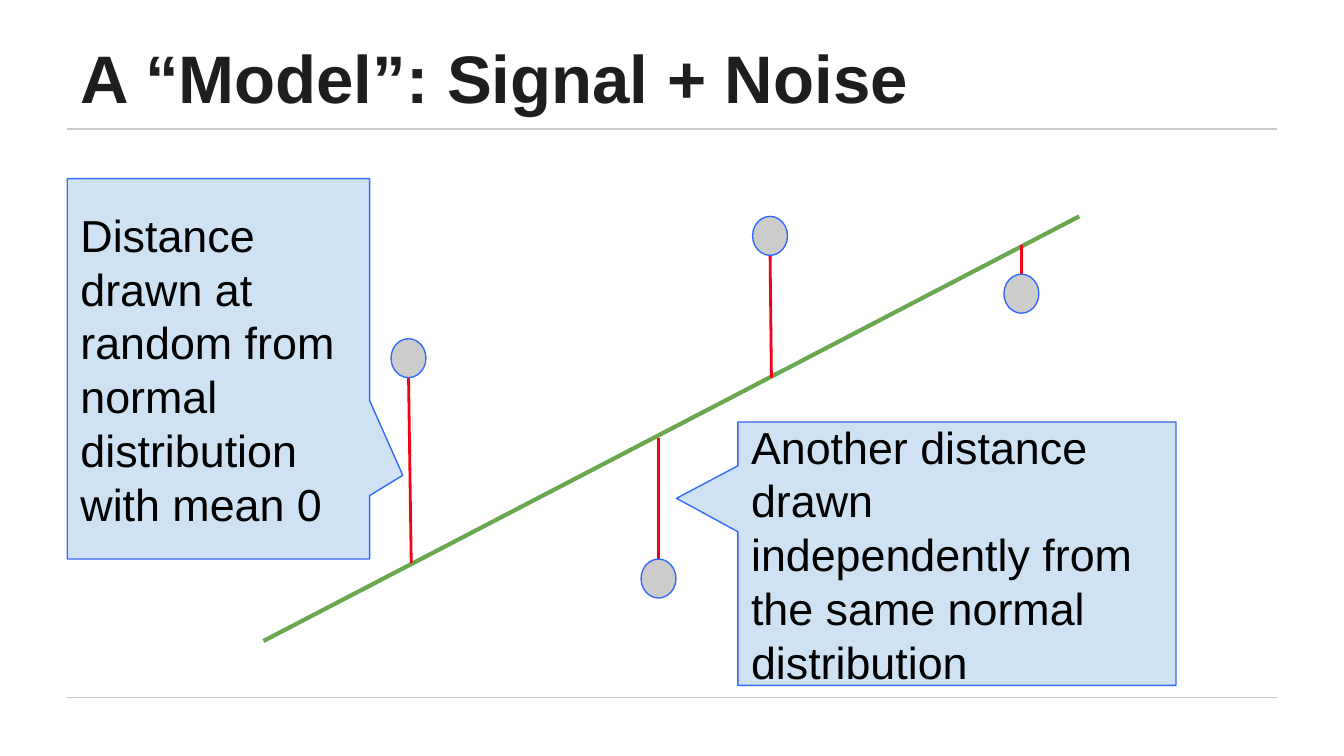
from pptx import Presentation
from pptx.dml.color import RGBColor
from pptx.enum.shapes import MSO_CONNECTOR, MSO_SHAPE
from pptx.enum.text import MSO_ANCHOR as ANCHOR, PP_ALIGN
from pptx.oxml.ns import qn
from pptx.util import Inches, Pt
from lxml import etree

INK = RGBColor(0x1E, 0x1E, 0x1E)
BLACK = RGBColor(0x00, 0x00, 0x00)
GRAY = RGBColor(0xCC, 0xCC, 0xCC)
GREEN = RGBColor(0x6A, 0xA8, 0x4F)
RED = RGBColor(0xF5, 0x00, 0x17)
BLUE = RGBColor(0x33, 0x69, 0xFC)
PALE_BLUE = RGBColor(0xCF, 0xE2, 0xF3)

prs = Presentation()
prs.slide_width = Inches(10)
prs.slide_height = prs.slide_width * 9 // 16
s = prs.slides.add_slide(prs.slide_layouts[6])


def set_text(sp, text, size, color, anchor, bold=False):
    tf = sp.text_frame
    tf.text = text
    tf.word_wrap = True
    tf.vertical_anchor = anchor
    tf.margin_left = tf.margin_right = Inches(0.1)
    tf.margin_top = tf.margin_bottom = Inches(0.1)
    p = tf.paragraphs[0]
    p.alignment = PP_ALIGN.LEFT
    font = p.runs[0].font
    font.name, font.size, font.bold = "Arial", Pt(size), bold
    font.color.rgb = color


def add_shape(kind, x, y, w, h, fill):
    sp = s.shapes.add_shape(kind, Inches(x), Inches(y), Inches(w), Inches(h))
    sp.shadow.inherit = False
    sp.fill.solid()
    sp.fill.fore_color.rgb = fill
    sp.line.color.rgb = BLUE
    sp.line.width = Pt(0.75)
    return sp


title = s.shapes.add_textbox(Inches(0.5), Inches(0.23), Inches(8.94), Inches(0.74))
set_text(title, "A “Model”: Signal + Noise", 36, INK, ANCHOR.BOTTOM, bold=True)

rules = [(0.5, y, 9.5, y, GRAY, 0.75) for y in (0.96, 5.19)]
signal = [(1.96, 4.77, 8.03, 1.61, GREEN, 2.25)]
noise = [
    (x1, y1, x2, y2, RED, 1.5)
    for x1, y1, x2, y2 in [
        (3.04, 2.81, 3.06, 4.19),
        (4.9, 4.16, 4.9, 3.26),
        (5.73, 1.9, 5.74, 2.81),
        (7.6, 2.04, 7.6, 1.82),
    ]
]
for x1, y1, x2, y2, color, width in rules + signal + noise:
    line = s.shapes.add_connector(
        MSO_CONNECTOR.STRAIGHT, Inches(x1), Inches(y1), Inches(x2), Inches(y2)
    )
    line.line.color.rgb = color
    line.line.width = Pt(width)
    etree.SubElement(line._element.spPr, qn("a:effectLst"))

for x, y in [(2.91, 2.52), (7.47, 2.04), (4.77, 4.16), (5.6, 1.61)]:
    add_shape(MSO_SHAPE.OVAL, x, y, 0.26, 0.29, GRAY)

callouts = [
    (0.5, 1.33, 2.25, 2.83, (0.61, 0.28, 0),
     "Distance drawn at random from normal distribution with mean 0"),
    (5.49, 3.14, 3.26, 1.96, (-0.64, -0.21, 0),
     "Another distance drawn independently from the same normal distribution"),
]
for x, y, w, h, pointer, text in callouts:
    sp = add_shape(MSO_SHAPE.ROUNDED_RECTANGULAR_CALLOUT, x, y, w, h, PALE_BLUE)
    for i, value in enumerate(pointer):
        sp.adjustments[i] = value
    set_text(sp, text, 24, BLACK, ANCHOR.MIDDLE)

prs.save("out.pptx")
